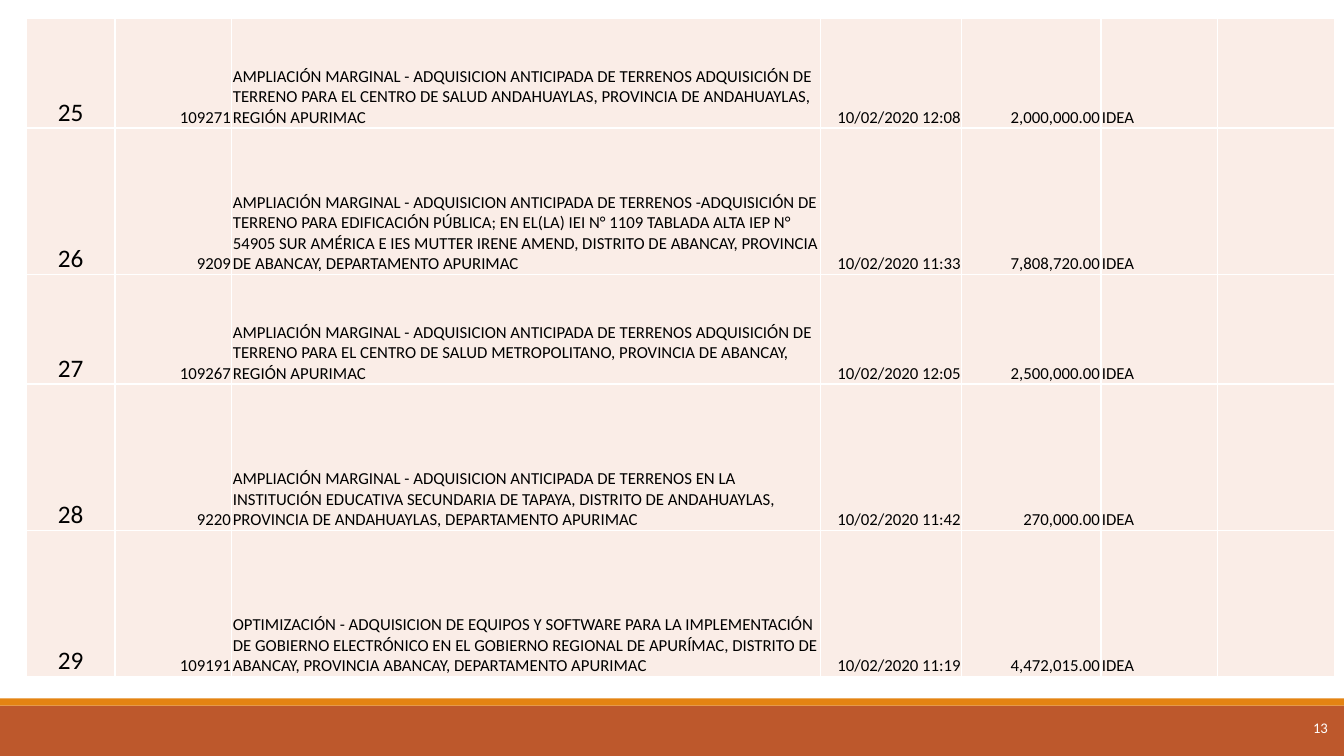
"""Builds the slide that lists investment ideas 25 to 29."""
from dataclasses import dataclass

from lxml import etree
from pptx import Presentation
from pptx.dml.color import RGBColor
from pptx.enum.shapes import MSO_SHAPE
from pptx.enum.text import MSO_ANCHOR, PP_ALIGN
from pptx.oxml.ns import qn
from pptx.util import Inches, Pt

LEFT, CENTER, RIGHT = PP_ALIGN.LEFT, PP_ALIGN.CENTER, PP_ALIGN.RIGHT
MIDDLE, BOTTOM = MSO_ANCHOR.MIDDLE, MSO_ANCHOR.BOTTOM
RECTANGLE = MSO_SHAPE.RECTANGLE
BLANK_LAYOUT = 6


@dataclass(frozen=True)
class Theme:
    """Colours, font and type sizes of the slide."""
    font: str = "Calibri"
    ink: str = "000000"
    white: str = "FFFFFF"
    footer: str = "BD582C"
    accent: str = "E48312"
    cell: str = "FAEDE7"
    order_size: float = 18
    body_size: float = 12
    page_size: float = 10.5
    border_width: float = 1


THEME = Theme()
WIDTH, HEIGHT = Inches(13.33), Inches(7.5)
FOOTER_TOP, ACCENT_TOP = Inches(7), Inches(6.93)
TABLE_LEFT, TABLE_TOP = Inches(0.26), Inches(0.18)
COLUMN_WIDTHS = (0.88, 1.16, 5.84, 1.4, 1.38, 1.16, 1.16)
COLUMN_ALIGNMENTS = (CENTER, RIGHT, LEFT, RIGHT, RIGHT, LEFT, LEFT)
SHORT_ROW, TALL_ROW = 1.09, 1.45
ROW_HEIGHTS = (SHORT_ROW, TALL_ROW, SHORT_ROW, TALL_ROW, TALL_ROW)
CELL_INSET = Inches(0.01)
FIRST_ORDER = 25
STATUS = "IDEA"
INVESTMENTS = (
    ("109271",
     "AMPLIACIÓN MARGINAL - ADQUISICION ANTICIPADA DE TERRENOS ADQUISICIÓN DE "
     "TERRENO PARA EL CENTRO DE SALUD ANDAHUAYLAS, PROVINCIA DE ANDAHUAYLAS, "
     "REGIÓN APURIMAC",
     "10/02/2020 12:08", "2,000,000.00"),
    ("9209",
     "AMPLIACIÓN MARGINAL - ADQUISICION ANTICIPADA DE TERRENOS -ADQUISICIÓN DE "
     "TERRENO PARA EDIFICACIÓN PÚBLICA; EN EL(LA) IEI N° 1109 TABLADA ALTA IEP N° "
     "54905 SUR AMÉRICA E IES MUTTER IRENE AMEND, DISTRITO DE ABANCAY, PROVINCIA "
     "DE ABANCAY, DEPARTAMENTO APURIMAC",
     "10/02/2020 11:33", "7,808,720.00"),
    ("109267",
     "AMPLIACIÓN MARGINAL - ADQUISICION ANTICIPADA DE TERRENOS ADQUISICIÓN DE "
     "TERRENO PARA EL CENTRO DE SALUD METROPOLITANO, PROVINCIA DE ABANCAY, "
     "REGIÓN APURIMAC",
     "10/02/2020 12:05", "2,500,000.00"),
    ("9220",
     "AMPLIACIÓN MARGINAL - ADQUISICION ANTICIPADA DE TERRENOS EN LA "
     "INSTITUCIÓN EDUCATIVA SECUNDARIA DE TAPAYA, DISTRITO DE ANDAHUAYLAS, "
     "PROVINCIA DE ANDAHUAYLAS, DEPARTAMENTO APURIMAC",
     "10/02/2020 11:42", "270,000.00"),
    ("109191",
     "OPTIMIZACIÓN - ADQUISICION DE EQUIPOS Y SOFTWARE PARA LA IMPLEMENTACIÓN "
     "DE GOBIERNO ELECTRÓNICO EN EL GOBIERNO REGIONAL DE APURÍMAC, DISTRITO DE "
     "ABANCAY, PROVINCIA ABANCAY, DEPARTAMENTO APURIMAC",
     "10/02/2020 11:19", "4,472,015.00"),
)


def write_text(frame, text, *, size=THEME.body_size, color=THEME.ink, align=LEFT):
    """Write one formatted paragraph into a text frame."""
    frame.word_wrap = True
    paragraph = frame.paragraphs[0]
    paragraph.alignment = align
    run = paragraph.add_run()
    run.text = text
    run.font.name = THEME.font
    run.font.size = Pt(size)
    run.font.color.rgb = RGBColor.from_string(color)


def add_band(slide, top, bottom, color):
    """Add a full-width plain band."""
    band = slide.shapes.add_shape(RECTANGLE, 0, top, WIDTH, bottom - top)
    band.shadow.inherit = False
    band.fill.solid()
    band.fill.fore_color.rgb = RGBColor.from_string(color)
    band.line.fill.background()


def add_page_number(slide, number):
    """Add the page number at the right of the footer."""
    box = slide.shapes.add_textbox(Inches(12.37), ACCENT_TOP, Inches(0.8),
                                   HEIGHT - ACCENT_TOP)
    frame = box.text_frame
    frame.margin_left = frame.margin_right = 0
    frame.margin_top = frame.margin_bottom = 0
    frame.vertical_anchor = MIDDLE
    write_text(frame, number, size=THEME.page_size, color=THEME.white, align=RIGHT)


def format_cell(cell):
    """Set the borders, fill, insets and anchor of a cell."""
    properties = cell._tc.get_or_add_tcPr()
    for side in ("a:lnL", "a:lnR", "a:lnT", "a:lnB"):
        border = etree.SubElement(properties, qn(side), w=str(Pt(THEME.border_width)))
        fill = etree.SubElement(border, qn("a:solidFill"))
        etree.SubElement(fill, qn("a:srgbClr"), val=THEME.white)
    cell.fill.solid()
    cell.fill.fore_color.rgb = RGBColor.from_string(THEME.cell)
    cell.margin_left = cell.margin_right = cell.margin_top = CELL_INSET
    cell.margin_bottom = 0
    cell.vertical_anchor = BOTTOM


def add_investment_table(slide):
    """Add the table with one row for each investment."""
    table = slide.shapes.add_table(
        len(INVESTMENTS), len(COLUMN_WIDTHS), TABLE_LEFT, TABLE_TOP,
        Inches(sum(COLUMN_WIDTHS)), Inches(sum(ROW_HEIGHTS))).table
    table.first_row = table.horz_banding = False
    for column, width in zip(table.columns, COLUMN_WIDTHS):
        column.width = Inches(width)
    for row, height in zip(table.rows, ROW_HEIGHTS):
        row.height = Inches(height)
    for row_index, investment in enumerate(INVESTMENTS):
        values = (str(FIRST_ORDER + row_index), *investment, STATUS, "")
        for column_index, value in enumerate(values):
            cell = table.cell(row_index, column_index)
            format_cell(cell)
            if value:
                size = THEME.body_size if column_index else THEME.order_size
                write_text(cell.text_frame, value, size=size,
                           align=COLUMN_ALIGNMENTS[column_index])


def main():
    """Build and save the slide."""
    presentation = Presentation()
    presentation.slide_width, presentation.slide_height = WIDTH, HEIGHT
    slide = presentation.slides.add_slide(presentation.slide_layouts[BLANK_LAYOUT])
    add_band(slide, FOOTER_TOP, HEIGHT, THEME.footer)
    add_band(slide, ACCENT_TOP, FOOTER_TOP, THEME.accent)
    add_page_number(slide, "13")
    add_investment_table(slide)
    presentation.save("out.pptx")


if __name__ == "__main__":
    main()
